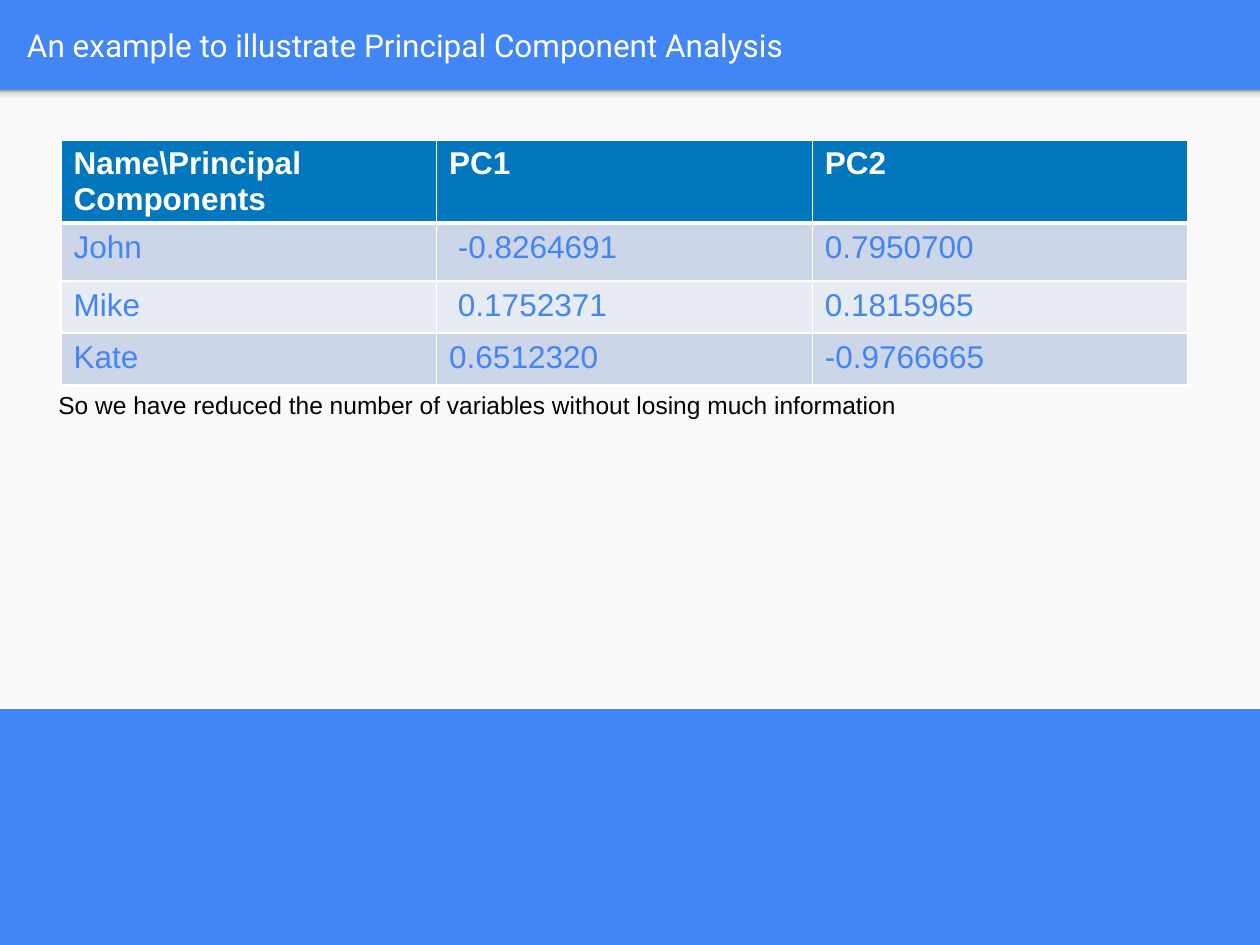
from dataclasses import dataclass

from lxml.etree import SubElement
from pptx import Presentation
from pptx.dml.color import RGBColor as RGB
from pptx.enum.shapes import MSO_SHAPE as SHAPE
from pptx.enum.text import MSO_ANCHOR as ANCHOR, MSO_AUTO_SIZE as AUTO, PP_ALIGN as ALIGN
from pptx.oxml.ns import qn
from pptx.util import Pt


@dataclass(frozen=True)
class Theme:
    blue: str = "4285F4"
    panel: str = "FAFAFA"
    header: str = "0277BD"
    bands: tuple = ("CCD6E8", "E7ECF4")
    shade: tuple = ((0, "F9F9F9"), (36, "F9F9F9"), (80, "DEDEDE"), (100, "999999"))
    white: str = "FFFFFF"
    black: str = "000000"
    title_font: str = "Roboto"
    body_font: str = "Arial"
    large: int = 18
    small: int = 14


THEME = Theme()
EMU_PER_PX = 914400 // 126
WIDTH, HEIGHT = 1260, 945
ROWS = [
    ("Name\\Principal Components", "PC1", "PC2"),
    ("John", " -0.8264691", "0.7950700"),
    ("Mike", " 0.1752371", "0.1815965"),
    ("Kate", "0.6512320", "-0.9766665"),
]
ROW_HEIGHTS = (52, 58, 52, 52)


def px(n):
    return n * EMU_PER_PX


def emu(box):
    return [px(n) for n in box]


def write(tf, text, font, size, color, bold=False):
    tf.text = text
    p = tf.paragraphs[0]
    p.alignment = ALIGN.LEFT
    f = p.runs[0].font
    f.name, f.size, f.bold = font, Pt(size), bold
    f.color.rgb = RGB.from_string(color)


def add_rect(slide, box):
    sp = slide.shapes.add_shape(SHAPE.RECTANGLE, *emu(box))
    sp.shadow.inherit = False
    sp.line.fill.background()
    return sp


def add_panel(slide, box):
    # Light content area
    x, y, w, h = box
    sp = add_rect(slide, box)
    sp.fill.solid()
    sp.fill.fore_color.rgb = RGB.from_string(THEME.panel)

    # Soft shade along its top edge, darkest at the top
    shade = add_rect(slide, (x, y, w, 15))
    shade.fill.gradient()
    shade.fill.gradient_angle = 90
    stops = shade.element.spPr.find(qn("a:gradFill")).find(qn("a:gsLst"))
    for gs in list(stops):
        stops.remove(gs)
    for percent, color in THEME.shade:
        gs = SubElement(stops, qn("a:gs"), pos=str(percent * 1000))
        SubElement(gs, qn("a:srgbClr"), val=color)


def add_title(slide, box, text):
    sp = slide.shapes.title
    sp.left, sp.top, sp.width, sp.height = emu(box)
    tf = sp.text_frame
    tf.word_wrap = True
    tf.auto_size = AUTO.NONE
    tf.vertical_anchor = ANCHOR.MIDDLE
    tf.margin_left = tf.margin_right = tf.margin_top = tf.margin_bottom = px(13)
    write(tf, text, THEME.title_font, THEME.large, THEME.white)


def set_borders(cell, top, bottom):
    tcPr = cell._tc.get_or_add_tcPr()
    for tag, width in (("lnL", 1), ("lnR", 1), ("lnT", top), ("lnB", bottom)):
        ln = SubElement(tcPr, qn(f"a:{tag}"), w=str(Pt(width)))
        fill = SubElement(ln, qn("a:solidFill"))
        SubElement(fill, qn("a:srgbClr"), val=THEME.white)


def add_scores(slide, box):
    table = slide.shapes.add_table(len(ROWS), len(ROWS[0]), *emu(box)).table
    for col in table.columns:
        col.width = px(box[2]) // len(ROWS[0])
    for i, (values, height) in enumerate(zip(ROWS, ROW_HEIGHTS)):
        table.rows[i].height = px(height)
        head = i == 0
        fill = THEME.header if head else THEME.bands[(i - 1) % 2]
        color = THEME.white if head else THEME.blue
        for j, value in enumerate(values):
            cell = table.cell(i, j)
            # A thick rule separates the header from the body
            set_borders(cell, top=3 if i == 1 else 1, bottom=3 if head else 1)
            cell.fill.solid()
            cell.fill.fore_color.rgb = RGB.from_string(fill)
            write(cell.text_frame, value, THEME.body_font, THEME.large, color, head)


def add_caption(slide, box, text):
    tf = slide.shapes.add_textbox(*emu(box)).text_frame
    tf.word_wrap = True
    tf.auto_size = AUTO.SHAPE_TO_FIT_TEXT
    write(tf, text, THEME.body_font, THEME.small, THEME.black)


def main():
    prs = Presentation()
    prs.slide_width, prs.slide_height = px(WIDTH), px(HEIGHT)
    slide = prs.slides.add_slide(prs.slide_layouts[5])
    bg = slide.background.fill
    bg.solid()
    bg.fore_color.rgb = RGB.from_string(THEME.blue)

    add_panel(slide, (0, 90, WIDTH, 619))
    add_title(slide, (14, 3, 1216, 83),
              "An example to illustrate Principal Component Analysis")
    add_scores(slide, (61, 140, 1127, sum(ROW_HEIGHTS)))
    add_caption(slide, (46, 384, 1176, 43),
                "So we have reduced the number of variables without losing much information")
    prs.save("out.pptx")


if __name__ == "__main__":
    main()
